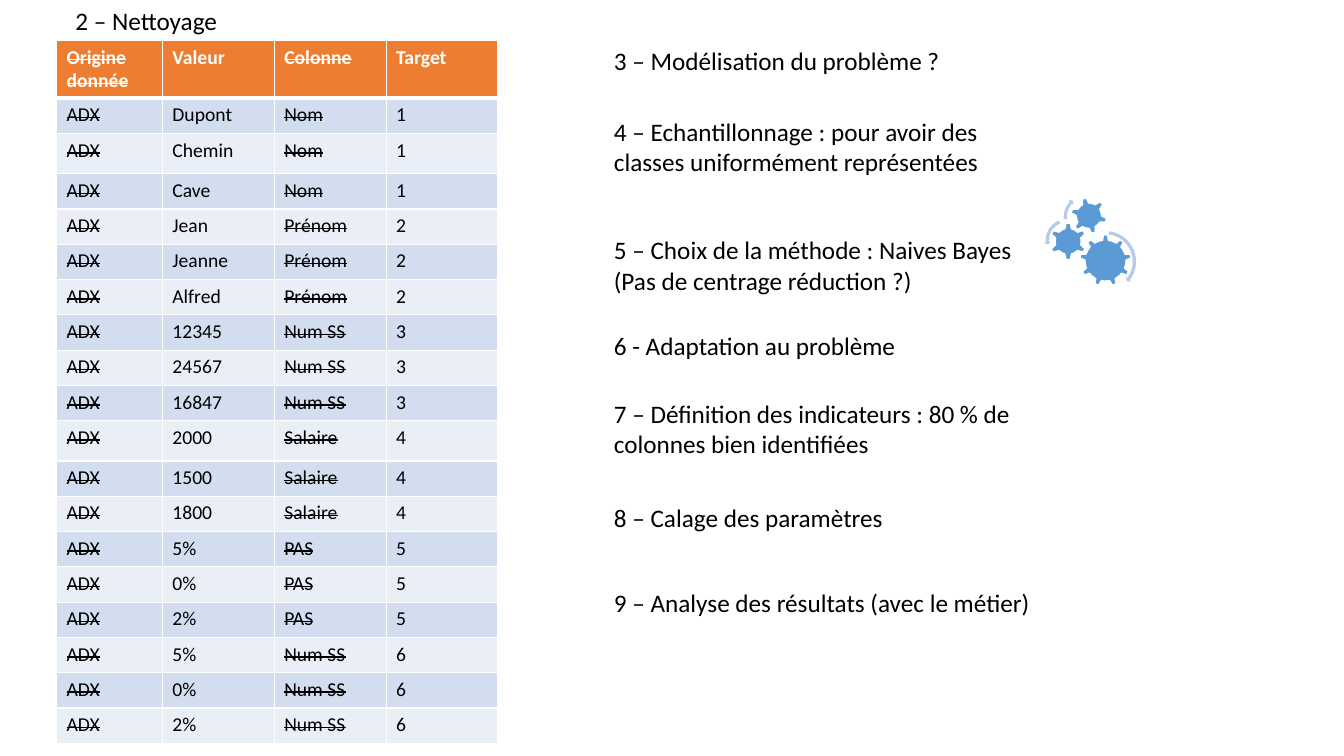
from dataclasses import dataclass

from lxml import etree
from pptx import Presentation
from pptx.dml.color import RGBColor
from pptx.enum import shapes, text
from pptx.oxml import ns
from pptx.util import Inches, Pt


@dataclass(frozen=True)
class Theme:
    font: str = "Calibri"
    step_size: int = 18
    table_size: int = 14
    black: str = "000000"
    white: str = "FFFFFF"
    header: str = "ED7D31"
    bands: tuple = ("EAEFF7", "D2DEEF")
    gear: str = "5B9BD5"
    arrow: str = "B5CBE7"


theme = Theme()


def add_text(paragraph, words, size, color, bold=False, strike=False):
    run = paragraph.add_run()
    run.text = words
    run.font.name = theme.font
    run.font.size = Pt(size)
    run.font.bold = bold
    run.font.color.rgb = RGBColor.from_string(color)
    if strike:
        run.font._element.set("strike", "sngStrike")


def add_border(cell, side, width):
    line = etree.SubElement(cell._tc.get_or_add_tcPr(), ns.qn(f"a:{side}"), w=str(Pt(width)))
    fill = etree.SubElement(line, ns.qn("a:solidFill"))
    etree.SubElement(fill, ns.qn("a:srgbClr"), val=theme.white)


presentation = Presentation()
presentation.slide_width = Inches(13.33)
presentation.slide_height = Inches(7.5)
slide = presentation.slides.add_slide(presentation.slide_layouts[6])

source_name = "ADX"
value_groups = [
    ("Nom", ["Dupont", "Chemin", "Cave"]),
    ("Prénom", ["Jean", "Jeanne", "Alfred"]),
    ("Num SS", ["12345", "24567", "16847"]),
    ("Salaire", ["2000", "1500", "1800"]),
    ("PAS", ["5%", "0%", "2%"]),
    ("Num SS", ["5%", "0%", "2%"]),
]
records = [("Origine donnée", "Valeur", "Colonne", "Target")]
for target, (column_name, values) in enumerate(value_groups, start=1):
    for value in values:
        records.append((source_name, value, column_name, str(target)))

column_widths = [1.05, 1.11, 1.11, 1.11]
row_heights = [0.35] * len(records)
row_heights[0] = 0.5
row_heights[2] = row_heights[10] = 0.4
struck_columns = (0, 2)

table = slide.shapes.add_table(
    len(records), len(column_widths), Inches(0.56), Inches(0.4),
    Inches(sum(column_widths)), Inches(sum(row_heights)),
).table
for column, width in zip(table.columns, column_widths):
    column.width = Inches(width)
for row, height in zip(table.rows, row_heights):
    row.height = Inches(height)

for row_index, record in enumerate(records):
    is_header = row_index == 0
    fill_color = theme.header if is_header else theme.bands[row_index % 2]
    for column_index, words in enumerate(record):
        cell = table.cell(row_index, column_index)
        add_border(cell, "lnL", 1)
        add_border(cell, "lnR", 1)
        add_border(cell, "lnT", 3 if row_index == 1 else 1)
        add_border(cell, "lnB", 3 if is_header else 1)
        cell.fill.solid()
        cell.fill.fore_color.rgb = RGBColor.from_string(fill_color)
        add_text(
            cell.text_frame.paragraphs[0], words, theme.table_size,
            theme.white if is_header else theme.black,
            bold=is_header, strike=column_index in struck_columns,
        )

preset = shapes.MSO_SHAPE
gear_parts = [
    (preset.GEAR_9, 10.71, 2.33, 0.51, 0, []),
    (preset.GEAR_6, 10.41, 2.21, 0.37, 0, []),
    (preset.GEAR_6, 10.62, 1.96, 0.36, 345, []),
    (preset.CIRCULAR_ARROW, 10.64, 2.27, 0.65, 0, [0.05, 2.99, 22.64, 165.95, 0.06]),
    (preset.LEFT_CIRCULAR_ARROW, 10.35, 2.15, 0.47, 0, [0.07, 4.3, 104.89, 148.38, 0.08]),
    (preset.CIRCULAR_ARROW, 10.53, 1.9, 0.51, 0, [0.06, 3.94, 133.14, 105.08, 0.07]),
]
gears = slide.shapes.add_group_shape()
for kind, left, top, size, rotation, adjustments in gear_parts:
    shape = gears.shapes.add_shape(kind, Inches(left), Inches(top), Inches(size), Inches(size))
    shape.shadow.inherit = False
    shape.rotation = rotation
    for index, adjustment in enumerate(adjustments):
        shape.adjustments[index] = adjustment
    shape.fill.solid()
    shape.fill.fore_color.rgb = RGBColor.from_string(theme.arrow if adjustments else theme.gear)
    if adjustments:
        shape.line.fill.background()
    else:
        shape.line.color.rgb = RGBColor.from_string(theme.white)
        shape.line.width = Pt(1)

steps_left = 5.99
one_line, two_lines = 0.4, 0.71
steps = [
    (0.65, 0, one_line, ["2 – Nettoyage "]),
    (steps_left, 0.4, one_line, ["3 – Modélisation du problème ?"]),
    (steps_left, 1.1, two_lines,
     ["4 – Echantillonnage : pour avoir des classes uniformément représentées"]),
    (steps_left, 2.28, two_lines,
     ["5 – Choix de la méthode : Naives Bayes", "(Pas de centrage réduction ?)"]),
    (steps_left, 3.23, one_line, ["6 - Adaptation au problème "]),
    (steps_left, 3.9, two_lines,
     ["7 – Définition des indicateurs : 80 % de colonnes bien identifiées"]),
    (steps_left, 4.93, one_line, ["8 – Calage des paramètres"]),
    (steps_left, 5.78, one_line, ["9 – Analyse des résultats (avec le métier)"]),
]
for left, top, height, lines in steps:
    box = slide.shapes.add_textbox(Inches(left), Inches(top), Inches(4.41), Inches(height))
    frame = box.text_frame
    frame.word_wrap = True
    frame.auto_size = text.MSO_AUTO_SIZE.SHAPE_TO_FIT_TEXT
    for index, words in enumerate(lines):
        paragraph = frame.add_paragraph() if index else frame.paragraphs[0]
        add_text(paragraph, words, theme.step_size, theme.black)

presentation.save("out.pptx")
